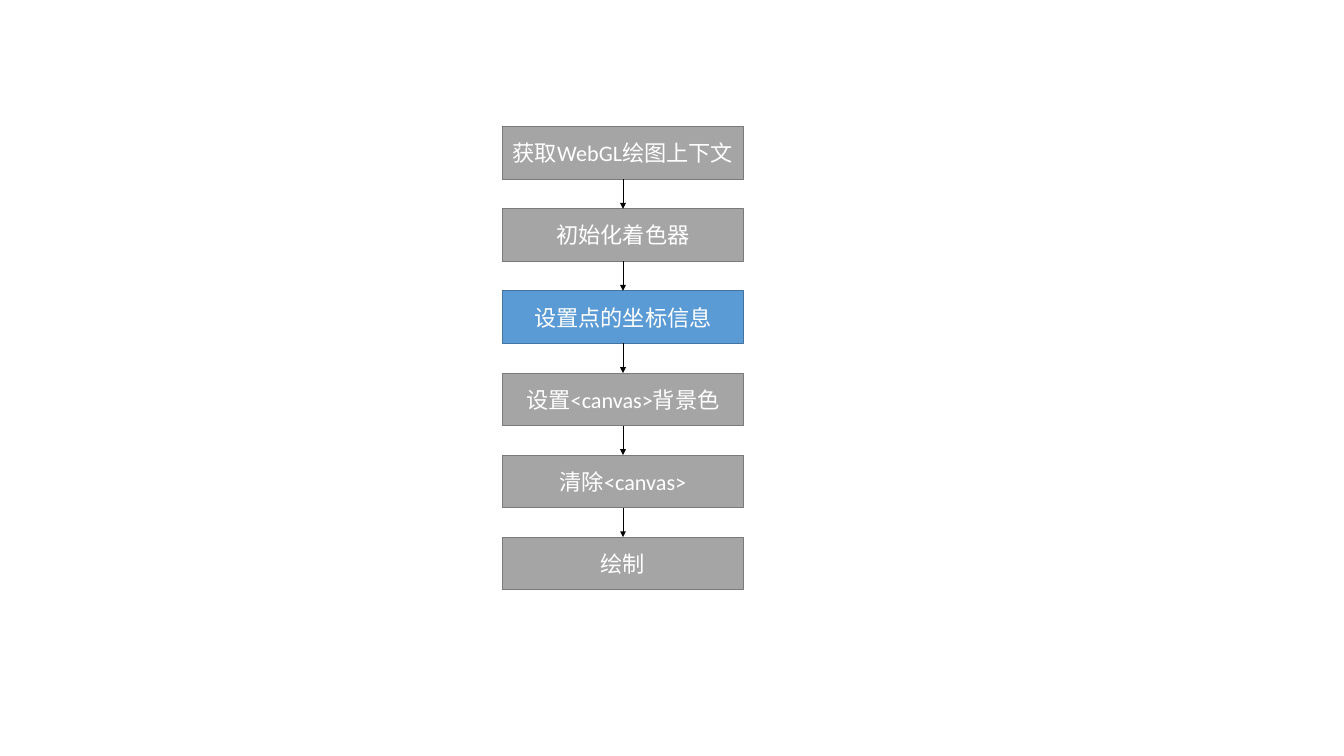
import pptx
import pptx.util
import pptx.dml.color
import pptx.enum.shapes
import pptx.enum.text
import pptx.oxml.ns
import lxml.etree

Pt = pptx.util.Pt
RGBColor = pptx.dml.color.RGBColor
qn = pptx.oxml.ns.qn

GRAY = RGBColor(0xA5, 0xA5, 0xA5)
GRAY_EDGE = RGBColor(0x7A, 0x7A, 0x7A)
BLUE = RGBColor(0x5B, 0x9B, 0xD5)
BLUE_EDGE = RGBColor(0x43, 0x73, 0x9E)
WHITE = RGBColor(0xFF, 0xFF, 0xFF)
BLACK = RGBColor(0x00, 0x00, 0x00)

STEPS = [
    "获取WebGL绘图上下文",
    "初始化着色器",
    "设置点的坐标信息",
    "设置<canvas>背景色",
    "清除<canvas>",
    "绘制",
]
CURRENT_STEP = 2
STEP_HEIGHT = 52.5


def write_text(tf, text, size=22.2, font="Calibri", color=WHITE):
    tf.word_wrap = True
    tf.vertical_anchor = pptx.enum.text.MSO_ANCHOR.MIDDLE
    p = tf.paragraphs[0]
    p.alignment = pptx.enum.text.PP_ALIGN.CENTER
    r = p.add_run()
    r.text = text
    r.font.size = Pt(size)
    r.font.name = font
    r.font.color.rgb = color


def add_step(s, text, left, top, width, height, fill, edge):
    sp = s.shapes.add_shape(pptx.enum.shapes.MSO_SHAPE.RECTANGLE,
                            Pt(left), Pt(top), Pt(width), Pt(height))
    sp.shadow.inherit = False
    sp.fill.solid()
    sp.fill.fore_color.rgb = fill
    sp.line.color.rgb = edge
    sp.line.width = Pt(1)
    write_text(sp.text_frame, text)


def add_arrow(s, x, top, bottom):
    c = s.shapes.add_connector(pptx.enum.shapes.MSO_CONNECTOR.STRAIGHT,
                               Pt(x), Pt(top), Pt(x), Pt(bottom))
    c.line.color.rgb = BLACK
    c.line.width = Pt(1)
    lxml.etree.SubElement(c.line._get_or_add_ln(), qn("a:tailEnd"), type="triangle")
    lxml.etree.SubElement(c._element.spPr, qn("a:effectLst"))


def add_flow(s, left, top, width, height):
    pitch = (height - STEP_HEIGHT) / (len(STEPS) - 1)
    for i, text in enumerate(STEPS):
        y = top + i * pitch
        fill, edge = (BLUE, BLUE_EDGE) if i == CURRENT_STEP else (GRAY, GRAY_EDGE)
        add_step(s, text, left, y, width, STEP_HEIGHT, fill, edge)
        if i:
            add_arrow(s, left + width / 2, y - pitch + STEP_HEIGHT, y)


prs = pptx.Presentation()
prs.slide_width = Pt(1344)
prs.slide_height = Pt(756)
s = prs.slides.add_slide(prs.slide_layouts[6])
add_flow(s, left=502.5, top=126.75, width=241, height=463)
prs.save("out.pptx")
